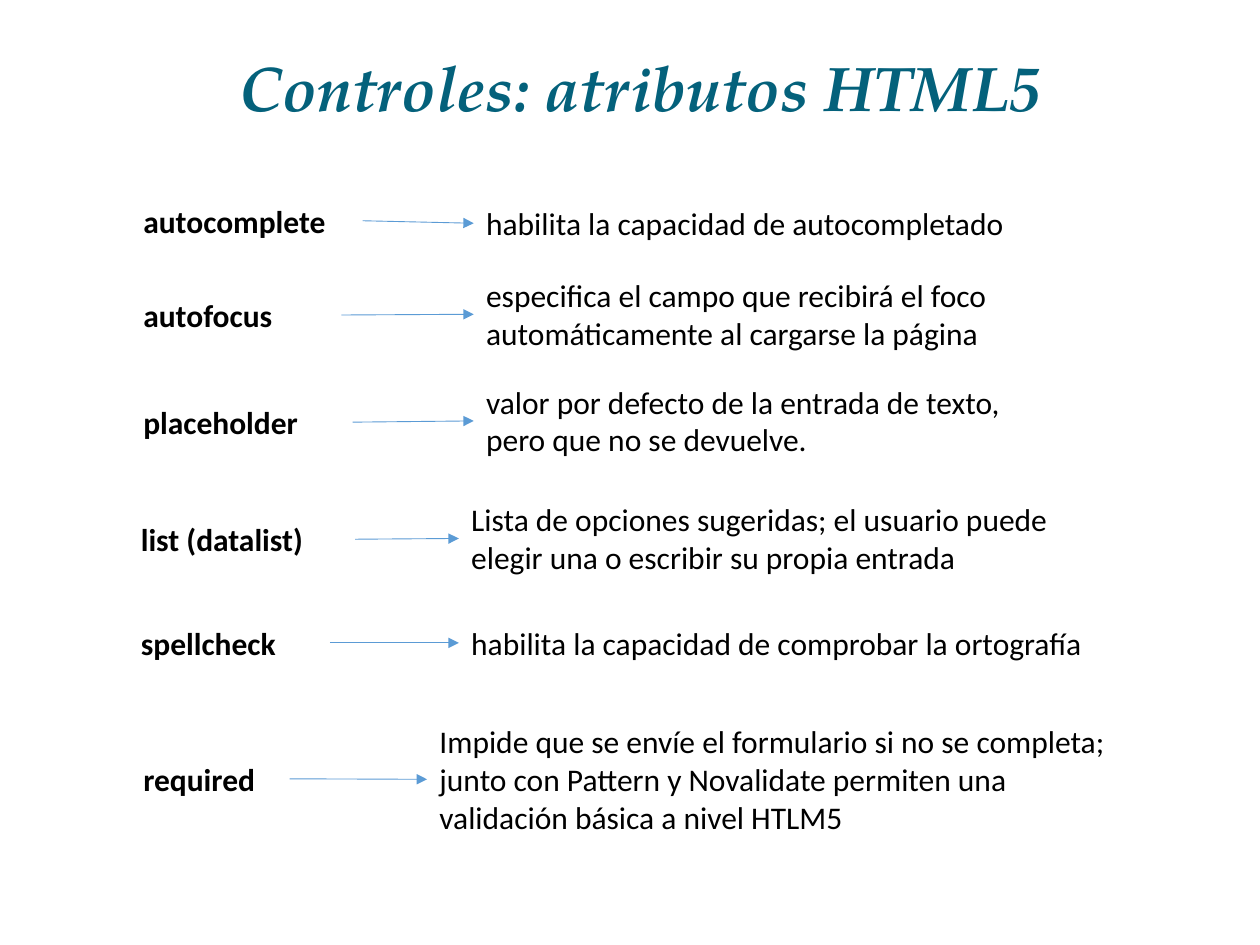
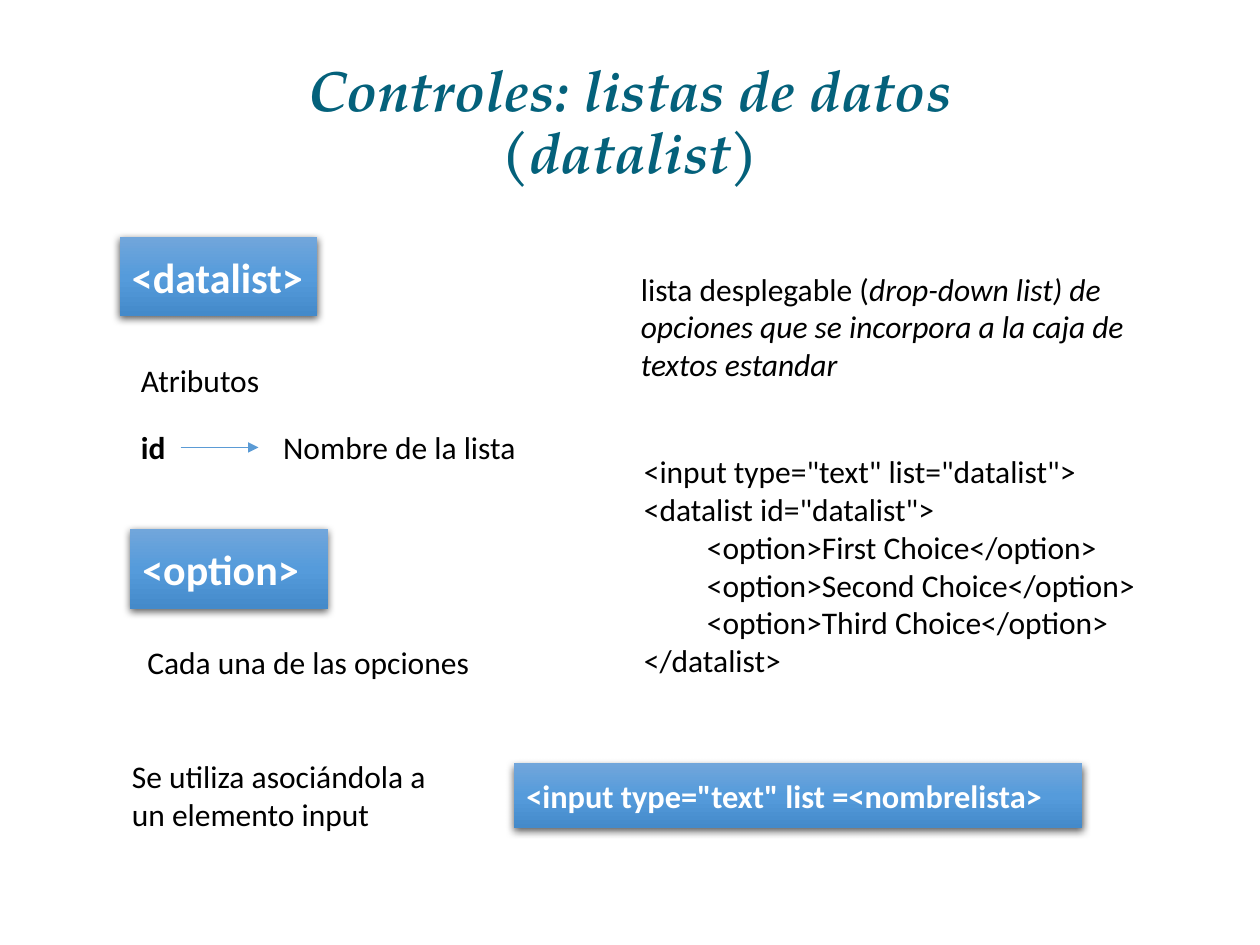
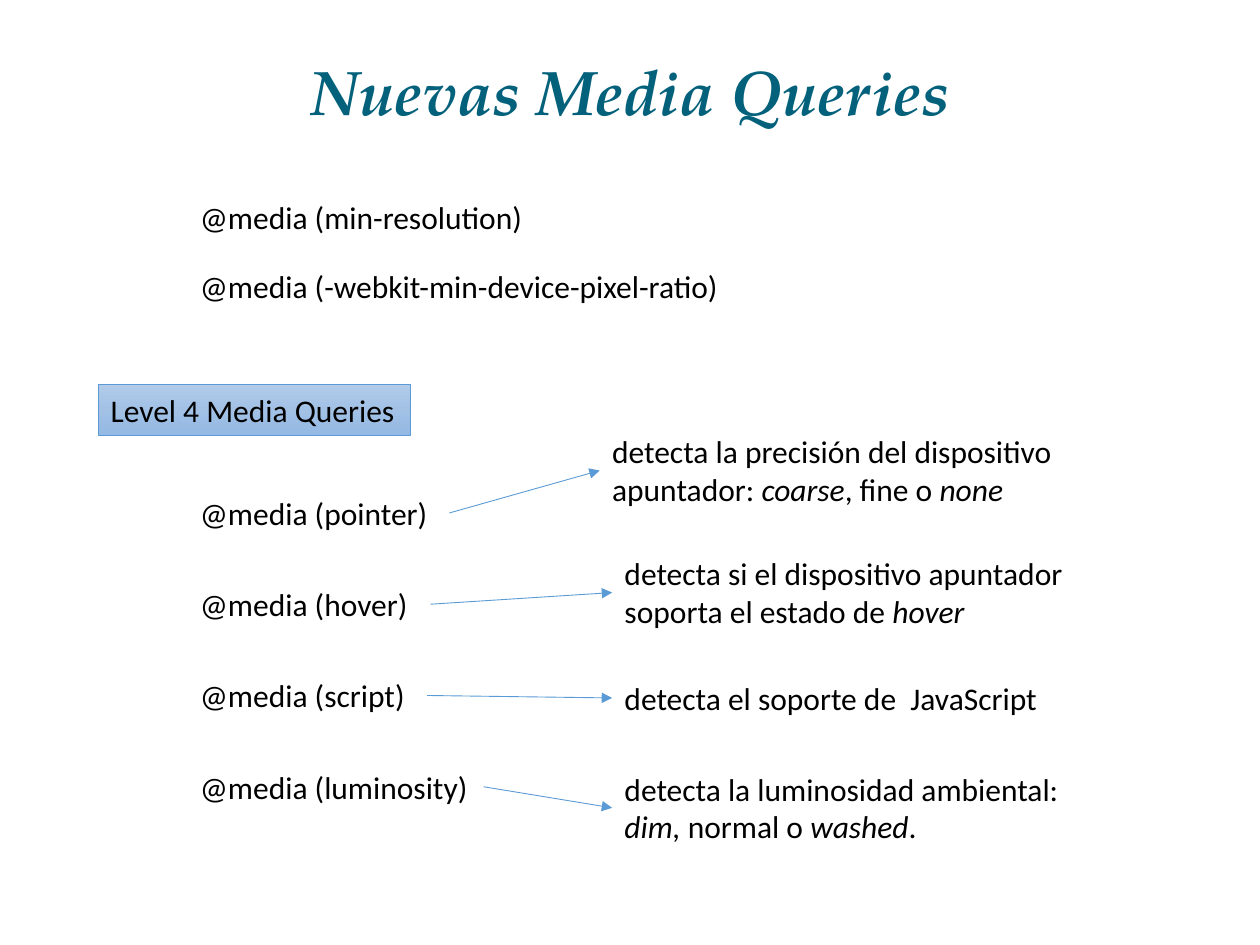
from copy import deepcopy

from lxml import etree
from pptx import Presentation
from pptx.dml.color import RGBColor
from pptx.enum.shapes import MSO_CONNECTOR, MSO_SHAPE
from pptx.enum.text import MSO_ANCHOR, MSO_AUTO_SIZE, PP_ALIGN
from pptx.oxml.ns import qn
from pptx.util import Cm, Pt

RECTANGLE = MSO_SHAPE.RECTANGLE
STRAIGHT = MSO_CONNECTOR.STRAIGHT
TOP, MIDDLE = MSO_ANCHOR.TOP, MSO_ANCHOR.MIDDLE
GROW = MSO_AUTO_SIZE.SHAPE_TO_FIT_TEXT
LEFT, CENTER = PP_ALIGN.LEFT, PP_ALIGN.CENTER
LEFT_SIDE, RIGHT_SIDE = 1, 3


def color(value):
    """Turn a hex string into a colour."""
    return RGBColor.from_string(value)


def child(parent, tag, **attributes):
    """Append a DrawingML element to its parent."""
    return etree.SubElement(parent, qn("a:" + tag), attributes)


class Deck:
    """Hold the shared style and the current slide."""

    TITLE_FONT, BODY_FONT = "TeX Gyre Pagella", "Calibri"
    TITLE, TEXT, WHITE, ACCENT = "04617B", "000000", "FFFFFF", "5B9BD5"
    STRONG = ("71A6DB", "559BDB", "448ACA")
    SOFT = ("B1CBE9", "A3C1E5", "93B9E4")
    BODY_SIZE = 18
    LINE_HEIGHT, PADDING = 0.77, 0.25

    def __init__(self):
        """Start an empty 4:3 presentation."""
        self.presentation = Presentation()
        self.presentation.slide_width = Cm(25.4)
        self.presentation.slide_height = Cm(19.05)
        self.page = None

    def add_page(self, title, left, top, height, size=36, spacing=0.9):
        """Start a slide with its centred title."""
        self.page = self.presentation.slides.add_slide(self.presentation.slide_layouts[6])
        box = self.page.shapes.add_textbox(Cm(left), Cm(top), Cm(21.9), Cm(height))
        frame = box.text_frame
        frame.word_wrap, frame.vertical_anchor = True, MIDDLE
        para = frame.paragraphs[0]
        para.text = title
        para.alignment, para.line_spacing = CENTER, spacing
        for span in para.runs:
            self.style(span, size, self.TITLE, True, True, self.TITLE_FONT)

    def style(self, span, size, ink, bold=False, italic=False, name=BODY_FONT):
        """Format one run."""
        font = span.font
        font.name, font.size, font.bold, font.italic = name, Pt(size), bold, italic
        font.color.rgb = color(ink)

    def set_text(self, box, text, size=BODY_SIZE, ink=TEXT, bold=False):
        """Fill a box, one paragraph a line, with italics between asterisks."""
        frame = box.text_frame
        frame.word_wrap = True
        for index, line in enumerate(text.split("\n")):
            para = frame.add_paragraph() if index else frame.paragraphs[0]
            para.alignment = LEFT
            if line.startswith("\t"):
                tabs = child(para._p.get_or_add_pPr(), "tabLst")
                child(tabs, "tab", pos=str(Cm(1.27)), algn="l")
            for number, part in enumerate(line.split("*")):
                if part:
                    span = para.add_run()
                    span.text = part
                    self.style(span, size, ink, bold, number % 2 == 1)

    def height(self, lines):
        """Return the height of a box with the given number of lines."""
        return Cm(self.PADDING + self.LINE_HEIGHT * lines)

    def text(self, text, left, top, width, lines=1, bold=False):
        """Add a body text box."""
        box = self.page.shapes.add_textbox(
            Cm(left), Cm(top), Cm(width), self.height(lines))
        self.set_text(box, text, bold=bold)
        box.text_frame.auto_size = GROW
        return box

    def panel(self, left, top, width, height, stops):
        """Add a rectangle with a vertical three-colour gradient."""
        box = self.page.shapes.add_shape(RECTANGLE, Cm(left), Cm(top), Cm(width), height)
        box.shadow.inherit = False
        box.fill.gradient()
        box.fill.gradient_angle = 270
        stop_list = box._element.spPr.find(qn("a:gradFill")).find(qn("a:gsLst"))
        stop_list.insert(1, deepcopy(stop_list[0]))
        for index, (stop, value) in enumerate(zip(box.fill.gradient_stops, stops)):
            stop.position = index / 2
            stop.color.rgb = color(value)
        return box

    def tag(self, text, left, top, width=3.99, height=1.6, size=24):
        """Add a shadowed code tag."""
        box = self.panel(left, top, width, Cm(height), self.STRONG)
        box.line.fill.background()
        effects = box._element.spPr.find(qn("a:effectLst"))
        shadow = child(effects, "outerShdw", blurRad=str(Pt(4.5)), dist=str(Pt(1.5)),
                       dir="5400000", algn="ctr", rotWithShape="0")
        child(child(shadow, "srgbClr", val="000000"), "alpha", val="63000")
        box.text_frame.vertical_anchor = MIDDLE
        self.set_text(box, text, size, self.WHITE, True)

    def heading(self, text, left, top, width):
        """Add an outlined section heading."""
        box = self.panel(left, top, width, self.height(1), self.SOFT)
        box.line.color.rgb, box.line.width = color(self.ACCENT), Pt(0.5)
        box.text_frame.vertical_anchor = TOP
        self.set_text(box, text)
        box.text_frame.auto_size = GROW

    def arrow(self, label, left, top):
        """Draw an arrow from the right of a label to a point."""
        connector = self.page.shapes.add_connector(
            STRAIGHT, label.left + label.width, label.top, left, top)
        connector.begin_connect(label, RIGHT_SIDE)
        connector.line.color.rgb, connector.line.width = color(self.ACCENT), Pt(0.5)
        properties = connector._element.spPr
        child(properties.find(qn("a:ln")), "tailEnd", type="triangle")
        child(properties, "effectLst")
        return connector

    def link(self, label, description):
        """Join a label to its description."""
        connector = self.arrow(label, description.left, description.top)
        connector.end_connect(description, LEFT_SIDE)


def attributes_page(deck):
    """Build the list of HTML5 attributes."""
    deck.add_page("Controles: atributos HTML5", 1.96, 0.33, 2.82, spacing=1)
    rows = [
        (("autocomplete", 2.64, 3.94, 4.67),
         ("habilita la capacidad de autocompletado", 9.55, 3.99, 12.27, 1)),
        (("autofocus", 2.64, 5.84, 4.24),
         ("especifica el campo que recibirá el foco automáticamente al cargarse "
          "la página", 9.55, 5.44, 12.27, 2)),
        (("placeholder", 2.64, 8, 4.47),
         ("valor por defecto de la entrada de texto, pero que no se devuelve.",
          9.55, 7.59, 10.87, 2)),
        (("list (datalist)", 2.59, 10.36, 4.57),
         ("Lista de opciones sugeridas; el usuario puede elegir una o escribir "
          "su propia entrada", 9.25, 9.96, 13.46, 2)),
        (("spellcheck", 2.59, 12.45, 4.06),
         ("habilita la capacidad de comprobar la ortografía", 9.25, 12.45, 14.05, 1)),
        (("required", 2.64, 15.19, 3.2),
         ("Impide que se envíe el formulario si no se completa; junto con Pattern "
          "y Novalidate permiten una validación básica a nivel HTLM5",
          8.61, 14.43, 14.1, 3)),
    ]
    for label, description in rows:
        deck.link(deck.text(*label, bold=True), deck.text(*description))


def datalist_page(deck):
    """Build the explanation of data lists."""
    deck.add_page("Controles: listas de datos\v(datalist)", 1.75, 1.02, 2.97, 32.4)
    deck.text("lista desplegable (*drop-down list) de opciones que se incorpora "
              "a la caja de textos estandar*", 12.67, 5.31, 10.54, 3)
    deck.text("Atributos", 2.59, 7.16, 3.1)
    attribute = deck.text("id", 2.59, 8.51, 1.05, bold=True)
    deck.arrow(attribute, Cm(5.21), attribute.top + attribute.height // 2)
    deck.text("Nombre de la lista", 5.46, 8.51, 5.41)
    choices = [f"\t<option>{name} Choice</option>" for name in ("First", "Second", "Third")]
    code = ['<input type="text" list="datalist">', '<datalist id="datalist">',
            *choices, "</datalist>"]
    deck.text("\n".join(code), 12.73, 8.99, 10.92, len(code))
    deck.tag("<datalist>", 2.41, 4.78)
    deck.tag("<option>", 2.62, 10.67)
    deck.text("Cada una de las opciones", 2.72, 12.83, 7.09)
    deck.text("Se utiliza asociándola a un elemento input", 2.41, 15.14, 6.93, 2)
    deck.tag('<input type="text" list =<nombrelista>', 10.36, 15.39, 11.46, 1.3, 18.5)


def media_page(deck):
    """Build the list of new media queries."""
    deck.add_page("Nuevas Media Queries", 1.75, 1.02, 1.78)
    label_left, first_top, step = 3.78, 9.83, 1.84
    deck.text("@media (min-resolution)", label_left, 3.86, 7.09)
    deck.text("@media (-webkit-min-device-pixel-ratio)", label_left, 5.26, 11.07)
    deck.heading("Level 4 Media Queries", 1.98, 7.75, 6.3)
    rows = [
        ("pointer", 5.28,
         ("detecta la precisión del dispositivo apuntador: *coarse*, fine o *none*",
          12.09, 8.59, 10.13, 2)),
        ("hover", 4.9,
         ("detecta si el dispositivo apuntador soporta el estado de *hover*",
          12.34, 11.05, 9.86, 2)),
        ("script", 4.83,
         ("detecta el soporte de  JavaScript", 12.34, 13.56, 8.86, 1)),
        ("luminosity", 5.97,
         ("detecta la luminosidad ambiental: *dim, *normal o *washed*.",
          12.34, 15.39, 9.37, 2)),
    ]
    for index, (feature, width, description) in enumerate(rows):
        label = deck.text(f"@media ({feature})", label_left, first_top + index * step, width)
        deck.link(label, deck.text(*description))


def main():
    """Build and save the three slides."""
    deck = Deck()
    attributes_page(deck)
    datalist_page(deck)
    media_page(deck)
    deck.presentation.save("out.pptx")


if __name__ == "__main__":
    main()
